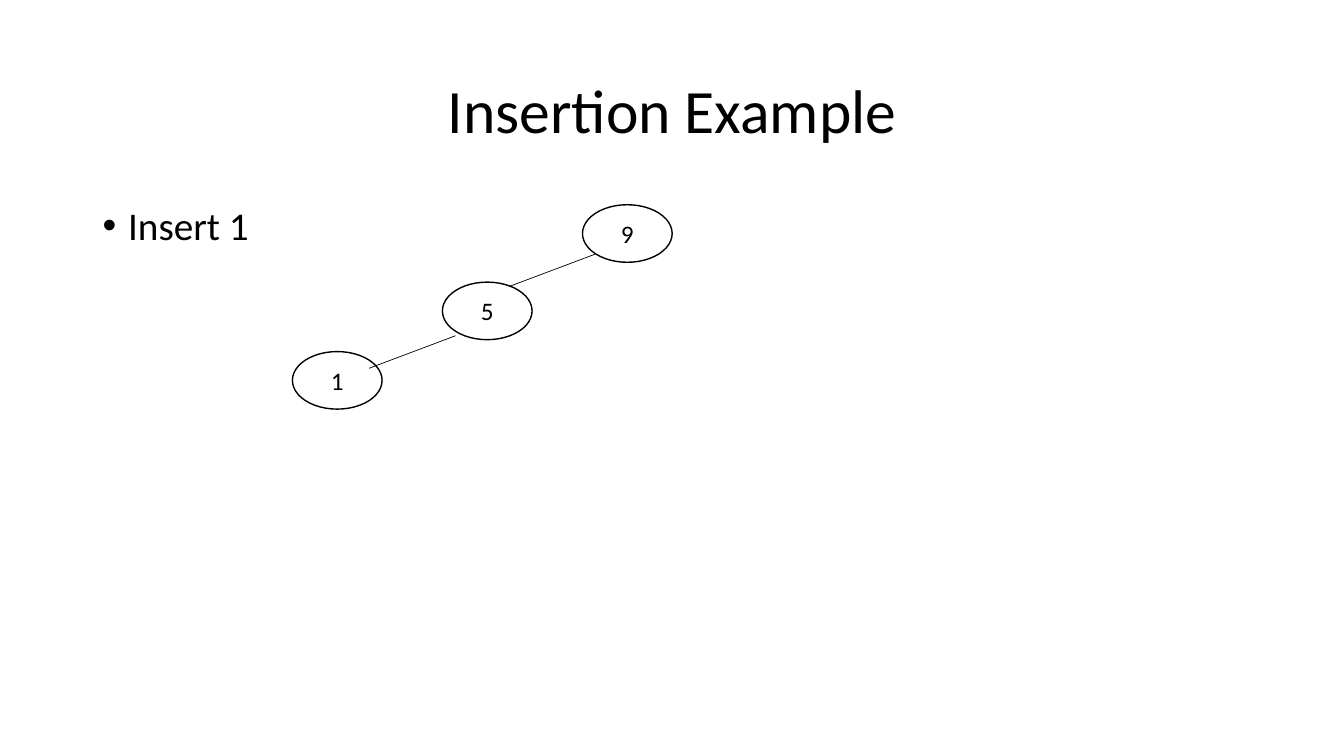
from lxml.etree import SubElement
from pptx import Presentation
from pptx.dml.color import RGBColor
from pptx.enum.shapes import MSO_CONNECTOR, MSO_SHAPE
from pptx.enum.text import MSO_ANCHOR, PP_ALIGN
from pptx.oxml.ns import qn
from pptx.util import Cm, Pt

TITLE = "Insertion Example"
STEP = "Insert 1"
COLORS = {"ink": "000000"}
FONT = "Calibri"

# Tree nodes from the root down: key, left, top (cm)
NODES = [("9", 14.68, 5.16), ("5", 11.15, 7.11), ("1", 7.37, 8.86)]
NODE_WIDTH, NODE_HEIGHT = 2.26, 1.45
# Branches: start left, start top (cm); all share one slope
BRANCHES = [(15.01, 6.4), (11.48, 8.46)]
BRANCH_RUN, BRANCH_DROP = -2.18, 0.82

CONTENT_LEFT, CONTENT_WIDTH = 2.34, 29.21
INK = RGBColor.from_string(COLORS["ink"])


def format_text(paragraph, size, alignment):
    paragraph.alignment = alignment
    for run in paragraph.runs:
        run.font.name = FONT
        run.font.size = Pt(size)
        run.font.color.rgb = INK


def add_title(slide):
    title = slide.shapes.title
    title.left, title.top = Cm(CONTENT_LEFT), Cm(1.02)
    title.width, title.height = Cm(CONTENT_WIDTH), Cm(3.68)
    title.text_frame.text = TITLE
    title.text_frame.vertical_anchor = MSO_ANCHOR.MIDDLE
    paragraph = title.text_frame.paragraphs[0]
    paragraph.line_spacing = 0.9
    format_text(paragraph, 44, PP_ALIGN.CENTER)


def add_step(slide):
    box = slide.shapes.add_textbox(Cm(CONTENT_LEFT), Cm(5.08), Cm(CONTENT_WIDTH), Cm(12.09))
    box.text_frame.word_wrap = True
    box.text_frame.text = STEP
    paragraph = box.text_frame.paragraphs[0]
    paragraph.line_spacing = 0.9
    properties = paragraph._p.get_or_add_pPr()
    indent = Cm(0.64)
    properties.set("marL", str(indent))
    properties.set("indent", str(-indent))
    SubElement(properties, qn("a:buFont"), typeface="Arial")
    SubElement(properties, qn("a:buChar"), char="•")
    format_text(paragraph, 28, PP_ALIGN.LEFT)


def add_node(slide, key, left, top):
    node = slide.shapes.add_shape(
        MSO_SHAPE.OVAL, Cm(left), Cm(top), Cm(NODE_WIDTH), Cm(NODE_HEIGHT))
    node.shadow.inherit = False
    node.fill.background()
    node.line.color.rgb = INK
    node.line.width = Pt(1)
    node.text_frame.text = key
    node.text_frame.word_wrap = False
    node.text_frame.vertical_anchor = MSO_ANCHOR.MIDDLE
    format_text(node.text_frame.paragraphs[0], 18, PP_ALIGN.CENTER)


def add_branch(slide, left, top):
    branch = slide.shapes.add_connector(
        MSO_CONNECTOR.STRAIGHT, Cm(left), Cm(top),
        Cm(left + BRANCH_RUN), Cm(top + BRANCH_DROP))
    branch.line.color.rgb = INK
    branch.line.width = Pt(0.5)
    SubElement(branch._element.spPr, qn("a:effectLst"))


def main():
    presentation = Presentation()
    presentation.slide_width, presentation.slide_height = Cm(33.87), Cm(19.05)
    slide = presentation.slides.add_slide(presentation.slide_layouts[5])
    add_title(slide)
    add_step(slide)
    for node in NODES:
        add_node(slide, *node)
    for branch in BRANCHES:
        add_branch(slide, *branch)
    presentation.save("out.pptx")


if __name__ == "__main__":
    main()
